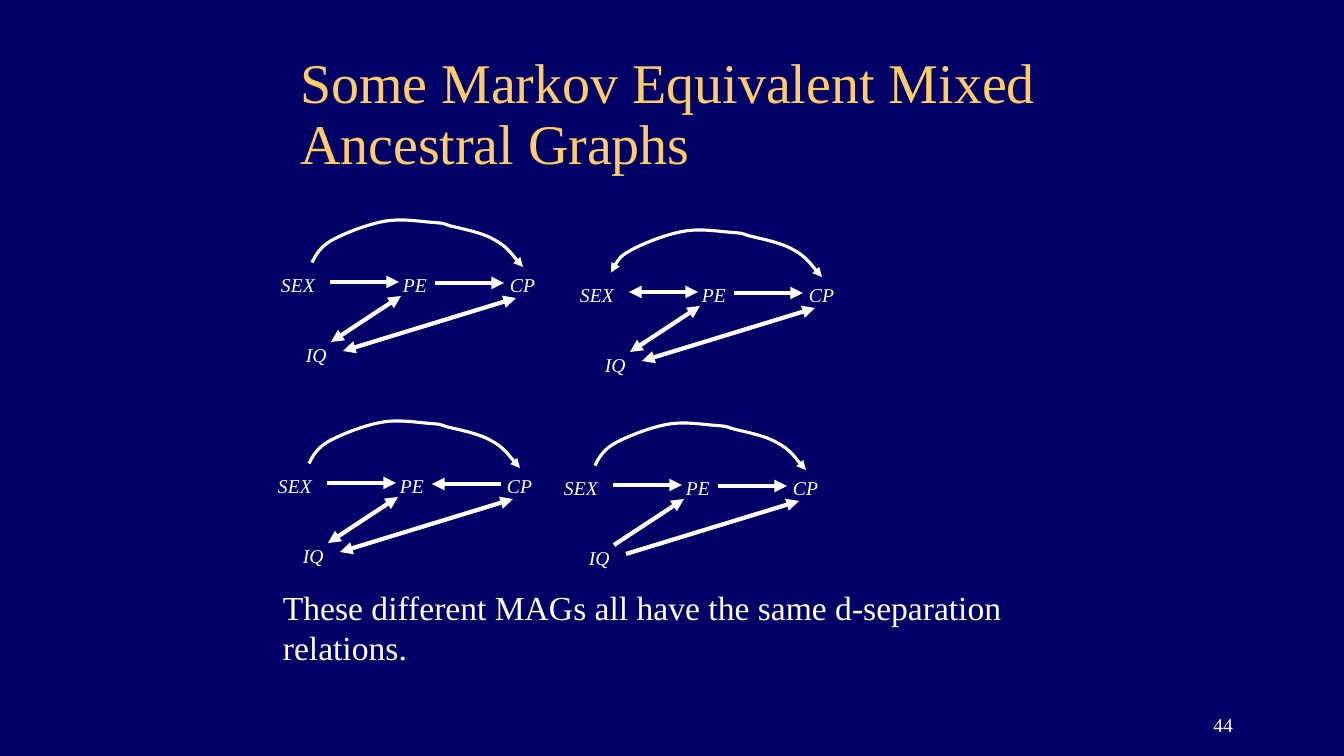
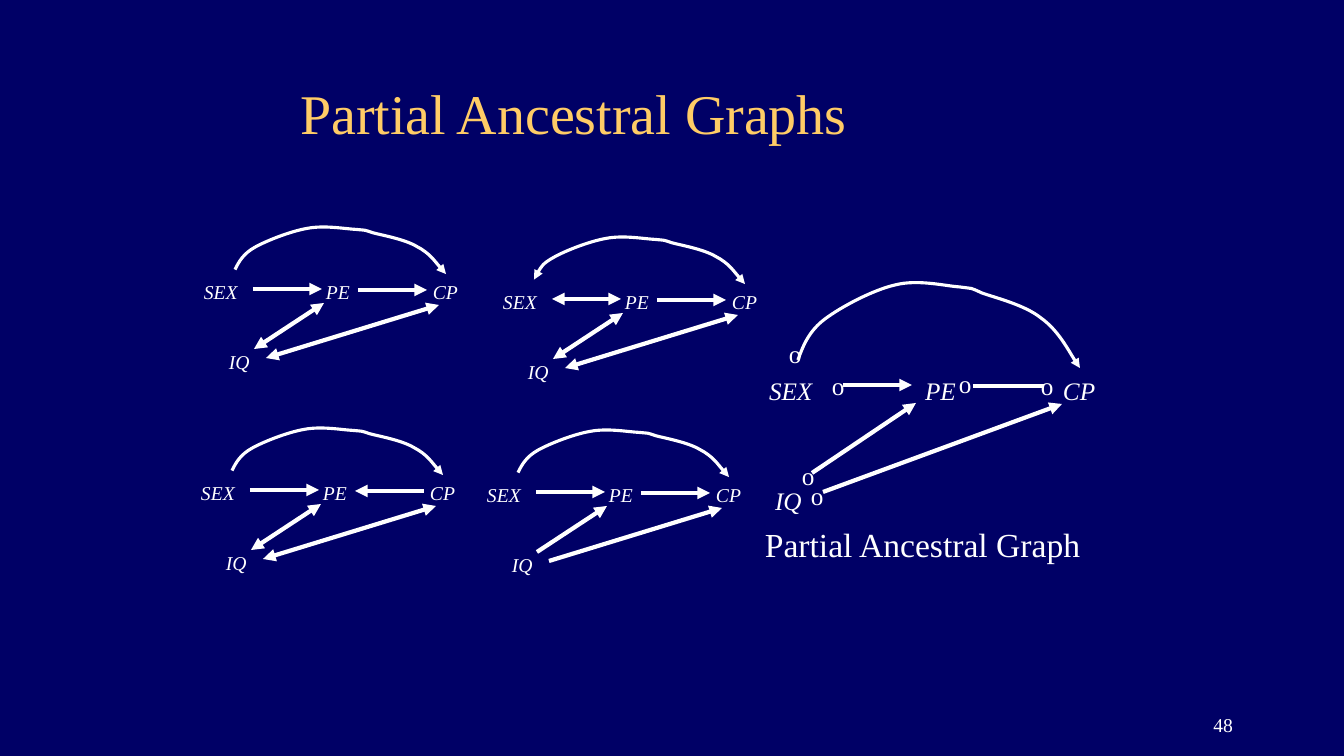
import pptx
import pptx.dml.color
import pptx.enum.shapes
import pptx.enum.text
import pptx.oxml.ns
import pptx.util
from dataclasses import dataclass
from lxml import etree

PX = 914400 / 100.8  # EMU in one px

NAVY = pptx.dml.color.RGBColor(0x00, 0x00, 0x66)
GOLD = pptx.dml.color.RGBColor(0xFF, 0xCC, 0x66)
WHITE = pptx.dml.color.RGBColor(0xFF, 0xFF, 0xFF)
FONT = "Times New Roman"

LEFT = pptx.enum.text.PP_ALIGN.LEFT
RIGHT = pptx.enum.text.PP_ALIGN.RIGHT
TOP = pptx.enum.text.MSO_ANCHOR.TOP
MIDDLE = pptx.enum.text.MSO_ANCHOR.MIDDLE
BOTTOM = pptx.enum.text.MSO_ANCHOR.BOTTOM

# Cubic curve over the nodes: a start point, then three points per segment
ARC_SIZE = (282, 89)
ARC_POINTS = [
    (0, 81),
    (5, 67), (11, 52), (27, 40),
    (43, 28), (75, 11), (97, 6),
    (120, 0), (147, 7), (162, 8),
    (176, 10), (171, 8), (184, 14),
    (198, 19), (227, 26), (243, 39),
    (260, 51), (276, 81), (282, 89),
]


@dataclass
class GraphLayout:
    box: tuple      # width and height of the label box
    margin: tuple   # left and top margin of the label box
    size: int       # label size in points
    tabs: tuple     # places of PE and CP, from the left margin
    indent: int     # place of IQ, from the left margin
    gap: int        # points between the two label rows
    edges: dict     # start and end of each straight edge
    arc: tuple      # left, top, width, height of the curve


SMALL = GraphLayout(
    box=(305, 203), margin=(10, 92), size=14, tabs=(122, 229), indent=25, gap=33,
    edges={
        "IQ CP": (72, 170, 245, 117),
        "PE CP": (164, 102, 233, 102),
        "SEX PE": (59, 101, 128, 101),
        "IQ PE": (60, 161, 130, 115),
    },
    arc=(41, 37, 211, 49),
)
LARGE = GraphLayout(
    box=(403, 275), margin=(48, 135), size=18, tabs=(156, 294), indent=6, gap=57,
    edges={
        "IQ CP": (102, 252, 341, 164),
        "PE CP": (252, 146, 323, 146),
        "SEX PE": (122, 145, 191, 145),
        "IQ PE": (91, 233, 195, 163),
    },
    arc=(77, 39, 282, 89),
)
CIRCLE_MARKS = [(58, 93), (101, 125), (80, 235), (71, 215), (228, 123), (310, 125)]

# Four equivalent graphs: place in the group, and the edges that are not "->"
EQUIVALENT_GRAPHS = [
    ((3, 0), {"IQ PE": "<->", "IQ CP": "<->"}),
    ((302, 10), {"arc": "<->", "SEX PE": "<->", "IQ PE": "<->", "IQ CP": "<->"}),
    ((0, 201), {"PE CP": "<-", "IQ PE": "<->", "IQ CP": "<->"}),
    ((286, 203), {}),
]


def emu(length):
    return pptx.util.Emu(round(length * PX))


def add_element(parent, tag, **attributes):
    return etree.SubElement(parent, pptx.oxml.ns.qn(tag), **attributes)


def format_para(para, size, color=WHITE, italic=False, align=LEFT):
    para.alignment = align
    for span in para.runs:
        span.font.name = FONT
        span.font.size = pptx.util.Pt(size)
        span.font.italic = italic
        span.font.color.rgb = color


def add_text(page, box, text, size, anchor=TOP, **style):
    frame = page.shapes.add_textbox(*map(emu, box)).text_frame
    frame.word_wrap = True
    frame.vertical_anchor = anchor
    frame.text = text
    for para in frame.paragraphs:
        format_para(para, size, **style)
    return frame


def add_labels(page, left, top, layout):
    """Names of the nodes in two rows."""
    frame = add_text(page, (left, top, *layout.box), "SEX\tPE\tCP\nIQ",
                     layout.size, italic=True)
    frame.margin_left, frame.margin_top = map(emu, layout.margin)
    frame.margin_bottom = 0
    upper, lower = frame.paragraphs
    stops = add_element(upper._p.get_or_add_pPr(), "a:tabLst")
    for place in layout.tabs:
        add_element(stops, "a:tab", pos=str(emu(place)), algn="l")
    lower._p.get_or_add_pPr().set("marL", str(emu(layout.indent)))
    lower.space_before = pptx.util.Pt(layout.gap)


def style_edge(shape, width, ends):
    """White line with an arrowhead for each < or > in ends."""
    shape.line.color.rgb = WHITE
    shape.line.width = pptx.util.Pt(width)
    line = shape.element.spPr.find(pptx.oxml.ns.qn("a:ln"))
    for mark, tag in (("<", "a:headEnd"), (">", "a:tailEnd")):
        if mark in ends:
            add_element(line, tag, type="triangle")


def add_edge(page, points, ends):
    edge = page.shapes.add_connector(
        pptx.enum.shapes.MSO_CONNECTOR.STRAIGHT, *map(emu, points))
    style_edge(edge, 3, ends)
    add_element(edge.element.spPr, "a:effectLst")


def add_arc(page, box, ends):
    left, top, width, height = box
    points = [(emu(left + x * width / ARC_SIZE[0]), emu(top + y * height / ARC_SIZE[1]))
              for x, y in ARC_POINTS]
    builder = page.shapes.build_freeform(*points[0])
    builder.add_line_segments(points[1:], close=False)
    arc = builder.convert_to_shape()

    # Each three straight segments become one cubic curve
    outline = next(arc.element.iter(pptx.oxml.ns.qn("a:path")))
    segments = outline.findall(pptx.oxml.ns.qn("a:lnTo"))
    for index in range(0, len(segments), 3):
        curve = add_element(outline, "a:cubicBezTo")
        for segment in segments[index:index + 3]:
            curve.append(segment[0])
            outline.remove(segment)

    arc.fill.background()
    arc.shadow.inherit = False
    style_edge(arc, 2.25, ends)


def add_graph(page, left, top, layout, ends):
    add_labels(page, left, top, layout)
    for name, (x1, y1, x2, y2) in layout.edges.items():
        add_edge(page, (left + x1, top + y1, left + x2, top + y2), ends.get(name, "->"))
    x, y, width, height = layout.arc
    add_arc(page, (left + x, top + y, width, height), ends.get("arc", "->"))


def add_equivalent_graphs(page, left, top):
    for (x, y), ends in EQUIVALENT_GRAPHS:
        add_graph(page, left + x, top + y, SMALL, ends)


def add_partial_graph(page, left, top):
    add_graph(page, left, top, LARGE, {"PE CP": "--"})
    for x, y in CIRCLE_MARKS:
        add_text(page, (left + x, top + y, 40, 40), "o", LARGE.size)
    add_text(page, (left + 34, top + 279, 391, 50), "Partial Ancestral Graph", 24)


def add_page(deck, title, number):
    """Slide with its title and number."""
    page = deck.slides.add_slide(deck.slide_layouts.get_by_name("Title Only"))
    heading = page.shapes.title
    heading.left, heading.top, heading.width, heading.height = map(emu, (290, 53, 802, 126))
    frame = heading.text_frame
    frame.text = title
    frame.vertical_anchor = MIDDLE
    frame.auto_size = pptx.enum.text.MSO_AUTO_SIZE.NONE
    frame.paragraphs[0].line_spacing = 0.9
    format_para(frame.paragraphs[0], 40, color=GOLD)
    add_text(page, (963, 691, 280, 50), str(number), 14, anchor=BOTTOM, align=RIGHT)
    return page


def main():
    deck = pptx.Presentation()
    deck.slide_width, deck.slide_height = emu(1344), emu(756)
    background = deck.slide_master.background.fill
    background.solid()
    background.fore_color.rgb = NAVY

    # Equivalent graphs
    page = add_page(deck, "Some Markov Equivalent Mixed Ancestral Graphs", 44)
    add_equivalent_graphs(page, 268, 181)
    add_text(page, (273, 582, 844, 92),
             "These different MAGs all have the same d-separation relations.", 24)

    # Equivalent graphs beside the graph that stands for them
    page = add_page(deck, "Partial Ancestral Graphs", 48)
    add_equivalent_graphs(page, 191, 188)
    add_partial_graph(page, 721, 240)

    deck.save("out.pptx")


if __name__ == "__main__":
    main()
